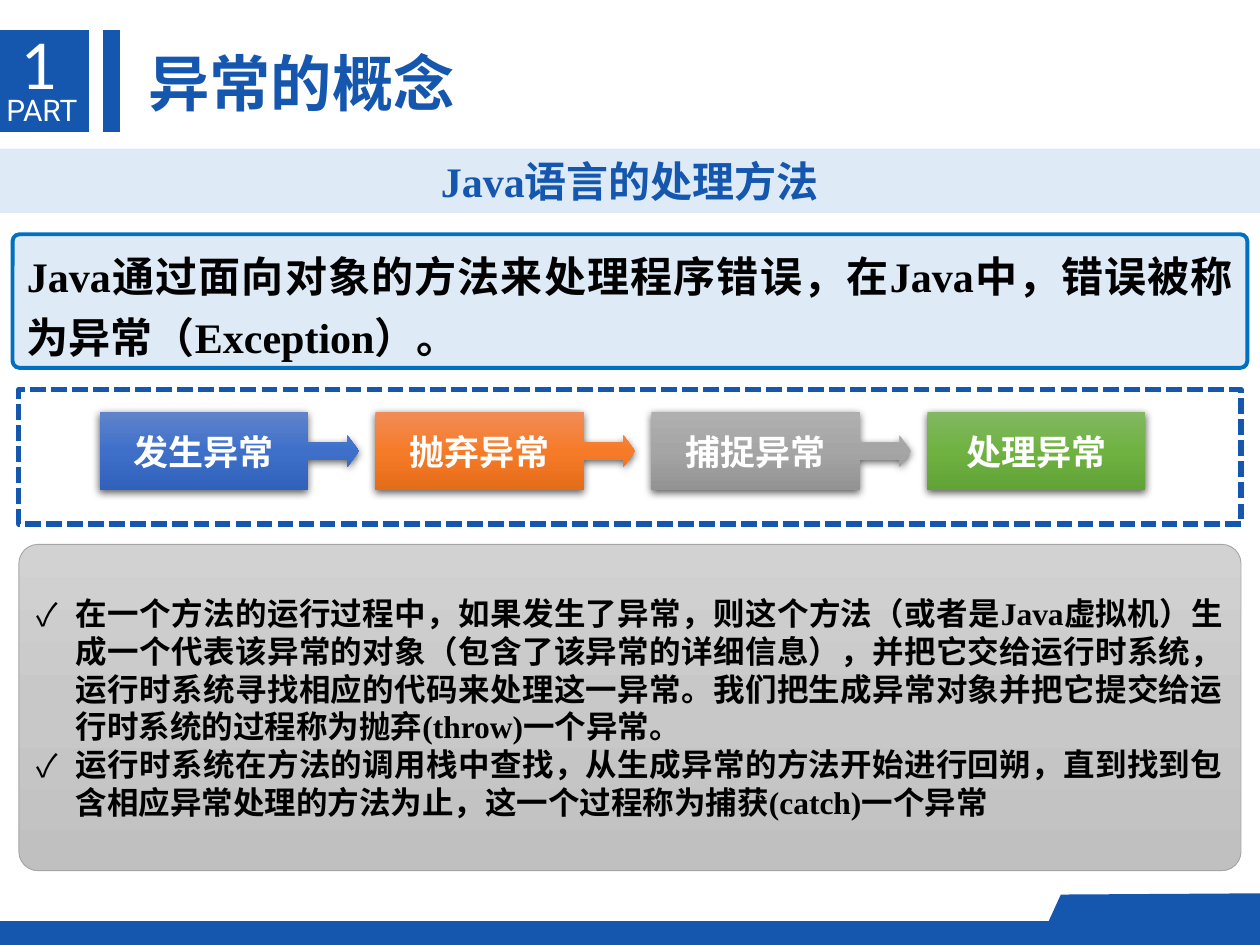
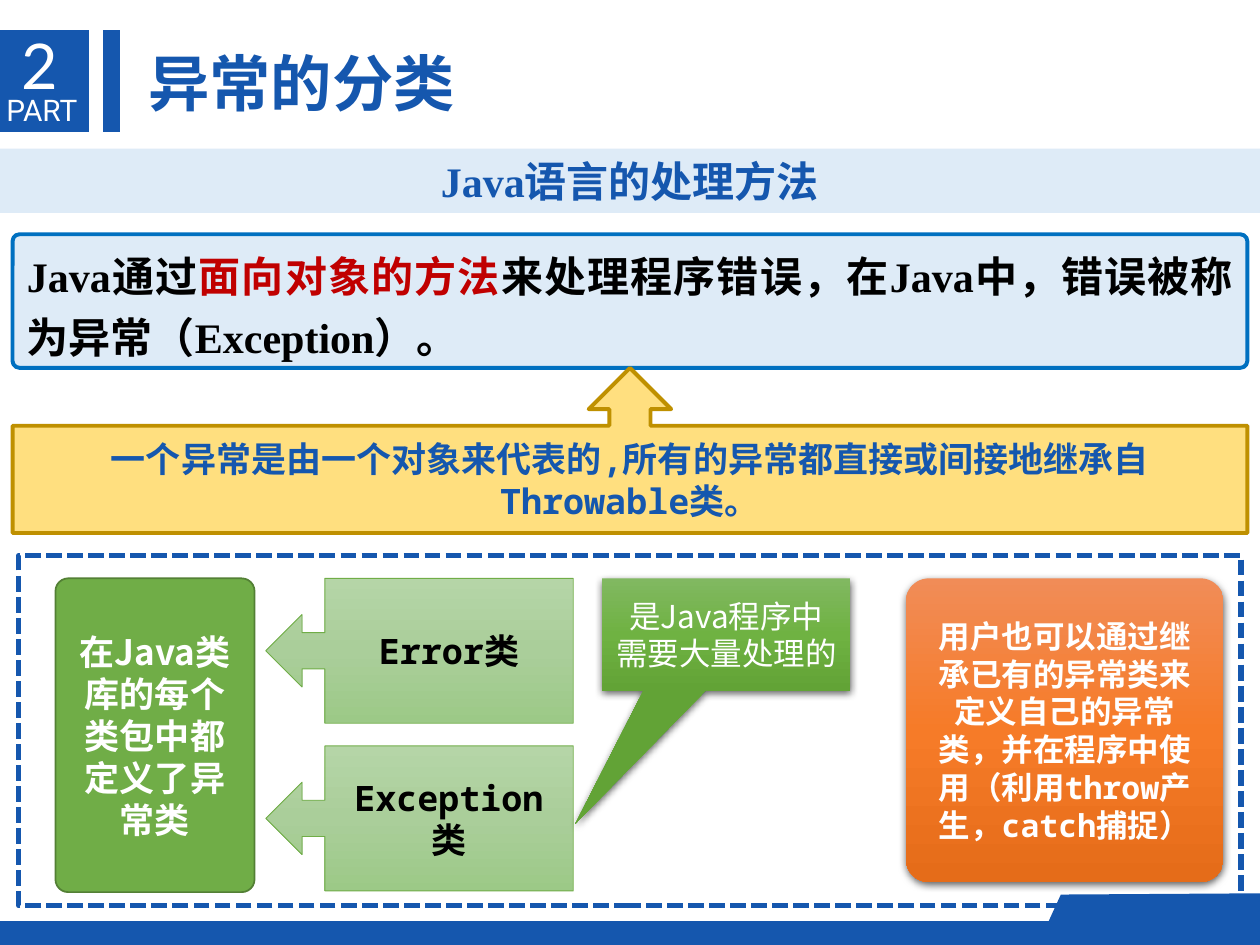
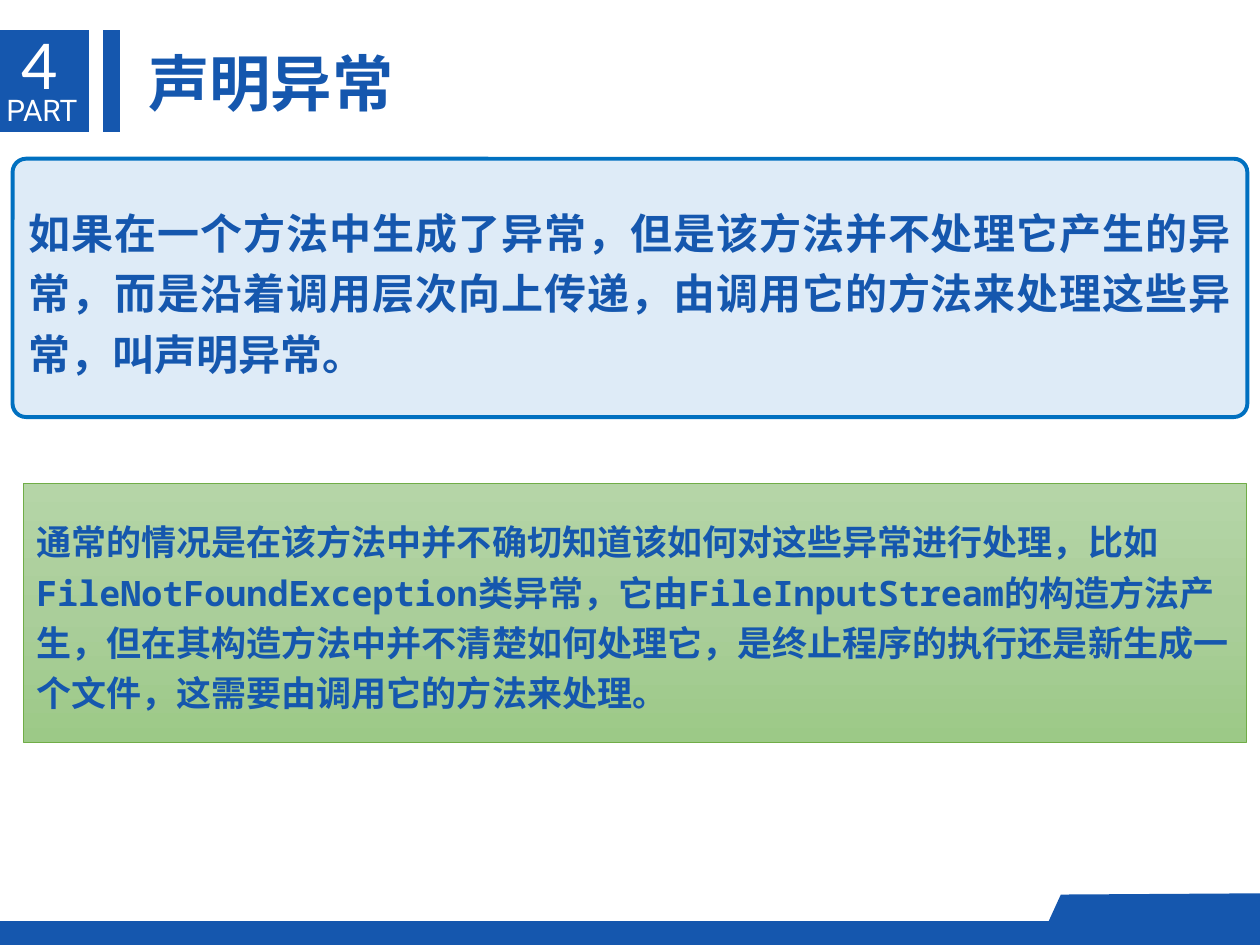
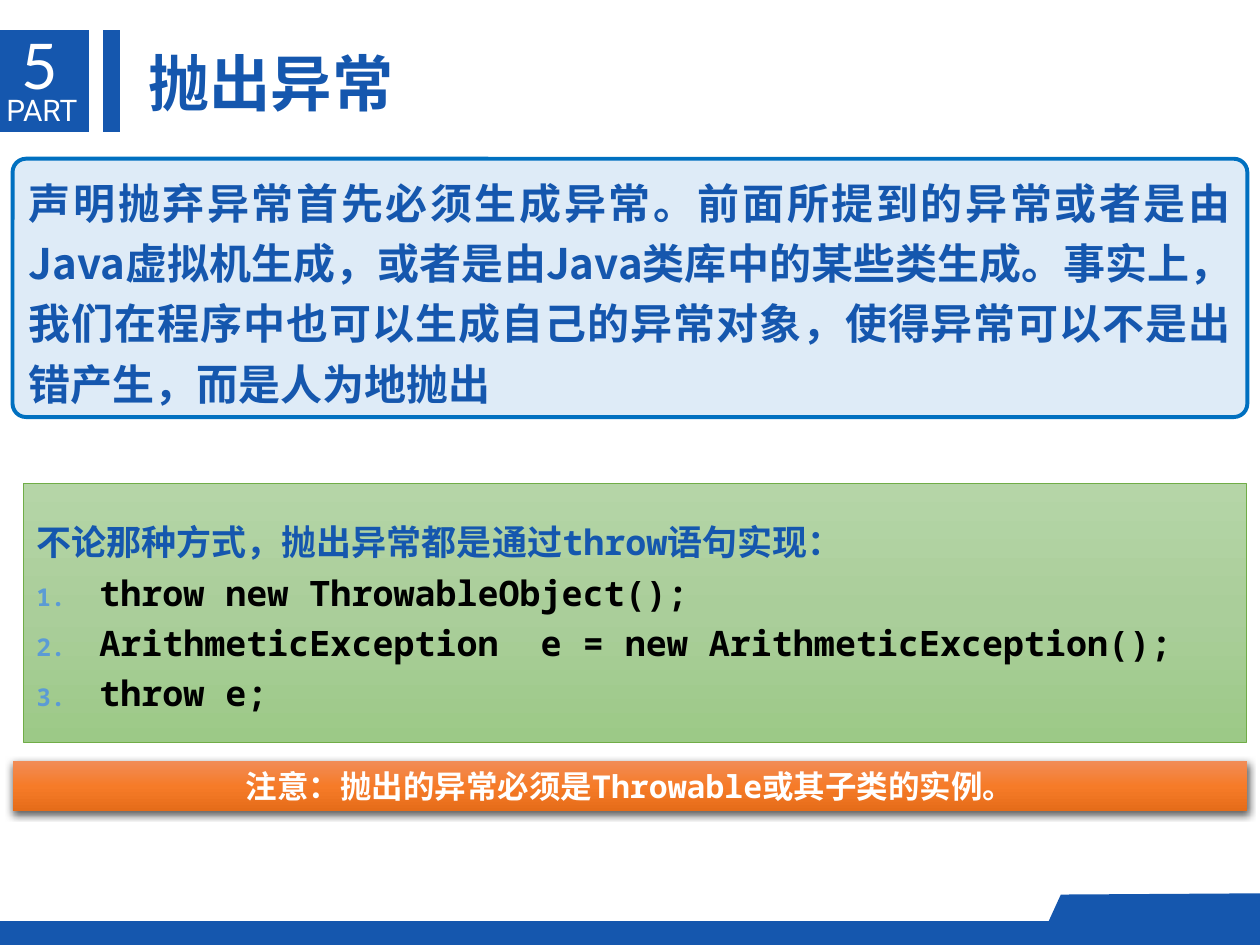
from dataclasses import dataclass
from lxml.etree import SubElement
from pptx import Presentation
from pptx.dml.color import RGBColor
from pptx.enum.dml import MSO_LINE
from pptx.enum.shapes import MSO_SHAPE as Preset
from pptx.enum.text import MSO_ANCHOR as Anchor, MSO_AUTO_SIZE as AutoSize, PP_ALIGN as Align
from pptx.oxml.ns import qn
from pptx.util import Inches, Pt


@dataclass(frozen=True)
class Theme:
    # Colours
    primary: str = "1557AE"
    pale: str = "DEEBF7"
    border: str = "0070C0"
    bullet: str = "5B9BD5"
    red: str = "C00000"
    gold: str = "FFC000"
    gold_line: str = "BF9000"
    green: str = "70AD47"
    green_line: str = "538035"
    gray_line: str = "A5A5A5"
    white: str = "FFFFFF"
    black: str = "000000"
    # Gradients, top to bottom
    blue_fade: tuple = ("6183CB", "3E70CA", "3062BB")
    orange_fade: tuple = ("F18C57", "F67B28", "E56C19")
    gray_fade: tuple = ("AFAFAF", "A5A5A5", "939393")
    green_fade: tuple = ("81B861", "6FB242", "62A336")
    silver_fade: tuple = ("D2D2D2", "C8C8C8", "C0C0C0")
    mint_fade: tuple = ("B5D5A7", "AACE9A", "9CC987")
    # Fonts
    sans: str = "Noto Sans CJK SC"
    mono: str = "Noto Sans Mono"
    serif: str = "Times New Roman"
    label_font: str = "Roboto"
    number_font: str = "Lato"
    # Type sizes
    number: int = 36
    title: int = 35
    lead: int = 24
    body: int = 20
    small: int = 18
    label: int = 17


THEME = Theme()


@dataclass(frozen=True)
class Box:
    left: float
    top: float
    width: float
    height: float

    def inner(self, left, top, width, height):
        """A box whose position is measured from this box's corner."""
        return Box(self.left + left, self.top + top, width, height)

    def lengths(self):
        return [Inches(value) for value in (self.left, self.top, self.width, self.height)]


@dataclass(frozen=True)
class Type:
    font: str
    size: int
    color: str
    bold: bool = True
    align: Align = Align.CENTER
    spacing: float = 1.0


LEAD = Type(THEME.sans, THEME.lead, THEME.primary, align=Align.JUSTIFY, spacing=1.2)
LEAD_SERIF = Type(THEME.serif, THEME.lead, THEME.black, align=Align.JUSTIFY, spacing=1.2)
BANNER = Type(THEME.serif, THEME.lead, THEME.primary)
STEP = Type(THEME.sans, THEME.body, THEME.white)
DETAIL = Type(THEME.serif, THEME.small, THEME.black, align=Align.JUSTIFY)
CODE = Type(THEME.mono, THEME.body, THEME.primary, align=Align.LEFT, spacing=1.2)
CLASS_NAME = Type(THEME.mono, THEME.body, THEME.black)
THROWABLE = Type(THEME.mono, THEME.body, THEME.primary)
NOTE = Type(THEME.mono, THEME.small, THEME.white)
REMARK = Type(THEME.sans, THEME.small, THEME.white, bold=False)


# ---------- Text ----------

def format_run(run, style, color=None):
    font = run.font
    font.name, font.size, font.bold = style.font, Pt(style.size), style.bold
    font.color.rgb = RGBColor.from_string(color or style.color)
    SubElement(run._r.get_or_add_rPr(), qn("a:ea"), typeface=THEME.sans)


def write_paragraph(paragraph, content, style):
    """Content is a string, or a list of (text, colour) pieces."""
    paragraph.alignment = style.align
    paragraph.line_spacing = style.spacing
    # Keep punctuation inside the margins
    paragraph._p.get_or_add_pPr().set("hangingPunct", "0")
    pieces = [(content, None)] if isinstance(content, str) else content
    for text, color in pieces:
        run = paragraph.add_run()
        run.text = text
        format_run(run, style, color)


def write(shape, paragraphs, style):
    frame = shape.text_frame
    for index, content in enumerate(paragraphs):
        paragraph = frame.add_paragraph() if index else frame.paragraphs[0]
        write_paragraph(paragraph, content, style)


def hang(paragraph, indent):
    properties = paragraph._p.get_or_add_pPr()
    properties.set("marL", str(Inches(indent)))
    properties.set("indent", str(-Inches(indent)))
    return properties


def add_check(paragraph):
    properties = hang(paragraph, 0.31)
    SubElement(properties, qn("a:buFont"), typeface=THEME.sans)
    SubElement(properties, qn("a:buChar"), char="✓")


def add_number(paragraph):
    properties = hang(paragraph, 0.5)
    color = SubElement(properties, qn("a:buClr"))
    SubElement(color, qn("a:srgbClr"), val=THEME.bullet)
    SubElement(properties, qn("a:buSzPct"), val="70000")
    SubElement(properties, qn("a:buAutoNum"), type="arabicPeriod")


def add_label(slide, box, text, style, inset=None):
    label = slide.shapes.add_textbox(*box.lengths())
    frame = label.text_frame
    frame.word_wrap = False
    frame.auto_size = AutoSize.SHAPE_TO_FIT_TEXT
    if inset is not None:
        frame.margin_left = frame.margin_right = Inches(inset)
        frame.margin_top = frame.margin_bottom = Inches(inset)
    write(label, [text], style)


# ---------- Shapes ----------

def paint(shape, fill):
    """Fill with nothing, one colour or an even top-to-bottom gradient."""
    if fill is None:
        shape.fill.background()
    elif isinstance(fill, str):
        shape.fill.solid()
        shape.fill.fore_color.rgb = RGBColor.from_string(fill)
    else:
        shape.fill.gradient()
        shape.fill.gradient_angle = 270
        stops = shape.element.spPr.find(".//" + qn("a:gsLst"))
        stops[:] = []
        for index, color in enumerate(fill):
            position = 100000 * index // (len(fill) - 1)
            stop = SubElement(stops, qn("a:gs"), pos=str(position))
            SubElement(stop, qn("a:srgbClr"), val=color)


def outline(shape, color, width):
    if color is None:
        shape.line.fill.background()
    else:
        shape.line.color.rgb = RGBColor.from_string(color)
        shape.line.width = Pt(width)


def cast_shadow(shape):
    effects = shape.element.spPr.find(qn("a:effectLst"))
    shadow = SubElement(effects, qn("a:outerShdw"), blurRad=str(Pt(4.5)), dist=str(Pt(1.5)),
                        dir="5400000", algn="ctr", rotWithShape="0")
    color = SubElement(shadow, qn("a:srgbClr"), val=THEME.black)
    SubElement(color, qn("a:alpha"), val="63000")


def add_panel(slide, box, preset, fill=None, line=None, width=1.0, adjust=(),
              shadow=False, paragraphs=(), style=None):
    shape = slide.shapes.add_shape(preset, *box.lengths())
    for index, value in enumerate(adjust):
        shape.adjustments[index] = value
    paint(shape, fill)
    outline(shape, line, width)
    shape.shadow.inherit = False
    if shadow:
        cast_shadow(shape)
    shape.text_frame.word_wrap = True
    shape.text_frame.vertical_anchor = Anchor.MIDDLE
    write(shape, paragraphs, style)
    return shape


# ---------- Regions shared by the slides ----------

def add_header(slide, box, number, title):
    # Number block and accent bar
    for left, width in ((0, 0.71), (0.82, 0.13)):
        add_panel(slide, box.inner(left, 0, width, box.height),
                  Preset.FLOWCHART_PROCESS, THEME.primary)
    # Labels
    add_label(slide, box.inner(0.05, 0.49, 0.6, 0.29), "PART",
              Type(THEME.label_font, THEME.label, THEME.white, False, Align.LEFT), inset=0)
    add_label(slide, box.inner(0.07, -0.08, 0.53, 0.71), number,
              Type(THEME.number_font, THEME.number, THEME.white, False, Align.LEFT))
    title_width = 0.2 + 0.49 * len(title)
    add_label(slide, box.inner(1.08, 0.07, title_width, 0.69), title,
              Type(THEME.sans, THEME.title, THEME.primary, align=Align.LEFT))


def add_footer(slide, box):
    # Full-width bar
    add_panel(slide, box.inner(0, 0.22, box.width, 0.19), Preset.FLOWCHART_PROCESS, THEME.primary)
    # Raised tab at the right
    right, bottom = box.left + box.width, box.top + 0.36
    corners = [(right, bottom), (right, box.top), (right - 1.58, box.top + 0.01),
               (right - 1.74, bottom)]
    points = [(Inches(x), Inches(y)) for x, y in corners]
    builder = slide.shapes.build_freeform(*points[0])
    builder.add_line_segments(points[1:], close=True)
    tab = builder.convert_to_shape()
    paint(tab, THEME.primary)
    outline(tab, None, 0)
    tab.shadow.inherit = False


def add_banner(slide, box):
    add_panel(slide, box, Preset.ROUNDED_RECTANGLE, THEME.pale, adjust=[0.006],
              paragraphs=["Java语言的处理方法"], style=BANNER)


def add_lead(slide, box, content, style):
    add_panel(slide, box, Preset.ROUNDED_RECTANGLE, THEME.pale, THEME.border, 2.25, [0.052],
              paragraphs=[content], style=style)


def add_dashed_frame(slide, box):
    frame = add_panel(slide, box, Preset.RECTANGLE, line=THEME.primary, width=3)
    frame.line.dash_style = MSO_LINE.SQUARE_DOT


def add_code_panel(slide, box, paragraphs):
    return add_panel(slide, box, Preset.RECTANGLE, THEME.mint_fade, THEME.green, 0.5,
                     paragraphs=paragraphs, style=CODE)


# ---------- Regions of single slides ----------

def add_steps(slide, box):
    steps = [("发生异常", THEME.blue_fade), ("抛弃异常", THEME.orange_fade),
             ("捕捉异常", THEME.gray_fade), ("处理异常", THEME.green_fade)]
    pitch = 2.19
    for index, (text, fade) in enumerate(steps):
        last = index == len(steps) - 1
        preset = Preset.RECTANGLE if last else Preset.RIGHT_ARROW_CALLOUT
        add_panel(slide, box.inner(index * pitch, 0, 1.73 if last else 2.06, box.height),
                  preset, fade, adjust=() if last else (0.224, 0.198, 0.146, 0.803),
                  shadow=True, paragraphs=[text], style=STEP)


def add_details(slide, box, paragraphs):
    panel = add_panel(slide, box, Preset.ROUNDED_RECTANGLE, THEME.silver_fade, THEME.gray_line,
                      0.5, [0.059], paragraphs=paragraphs, style=DETAIL)
    for paragraph in panel.text_frame.paragraphs:
        add_check(paragraph)


def add_throwable(slide, box):
    callout = add_panel(
        slide, box, Preset.UP_ARROW_CALLOUT, THEME.gold, THEME.gold_line, 2.25,
        paragraphs=["一个异常是由一个对象来代表的,所有的异常都直接或间接地继承自Throwable类。"],
        style=THROWABLE)
    color = callout.element.spPr.find(qn("a:solidFill"))[0]
    SubElement(color, qn("a:alpha"), val="50000")


def add_class_map(slide, box):
    # Class library
    add_panel(slide, box.inner(0.29, 0.18, 1.58, 2.49), Preset.ROUNDED_RECTANGLE,
              THEME.green, THEME.green_line, 1, [0.064],
              paragraphs=["在Java类库的每个类包中都定义了异常类"], style=STEP)
    # The two kinds of class
    for index, name in enumerate(("Error类", "Exception类")):
        add_panel(slide, box.inner(1.96, 0.18 + 1.33 * index, 2.44, 1.15),
                  Preset.LEFT_ARROW_CALLOUT, THEME.mint_fade, THEME.green, 0.5,
                  [0.25, 0.25, 0.25, 0.808], paragraphs=[name], style=CLASS_NAME)
    # Remark pointing at Exception
    add_panel(slide, box.inner(4.63, 0.18, 1.97, 0.89), Preset.RECTANGULAR_CALLOUT,
              THEME.green_fade, adjust=[-0.608, 1.687], shadow=True,
              paragraphs=["是Java程序中需要大量处理的"], style=REMARK)
    add_dashed_frame(slide, box)
    # User-defined exceptions
    add_panel(slide, box.inner(7.04, 0.18, 2.52, 2.41), Preset.ROUNDED_RECTANGLE,
              THEME.orange_fade, adjust=[0.075], shadow=True, style=NOTE,
              paragraphs=["用户也可以通过继承已有的异常类来定义自己的异常类，"
                          "并在程序中使用（利用throw产生，catch捕捉）"])


def add_note(slide, box, text):
    note = add_panel(slide, box, Preset.RECTANGLE, THEME.orange_fade, shadow=True,
                     paragraphs=[text], style=NOTE)
    note.text_frame.vertical_anchor = Anchor.TOP
    note.text_frame.auto_size = AutoSize.SHAPE_TO_FIT_TEXT


# ---------- Slides ----------

HEADER_BOX = Box(0, 0.24, 10, 0.81)
FOOTER_BOX = Box(0, 7.09, 10, 0.41)
BANNER_BOX = Box(0, 1.18, 10, 0.51)
SHORT_LEAD_BOX = Box(0.1, 1.86, 9.8, 1.06)
TALL_LEAD_BOX = Box(0.1, 1.26, 9.8, 2.05)
CODE_BOX = Box(0.19, 3.84, 9.7, 2.05)


def start_slide(presentation, number, title):
    slide = presentation.slides.add_slide(presentation.slide_layouts[6])
    add_footer(slide, FOOTER_BOX)
    add_header(slide, HEADER_BOX, number, title)
    return slide


def build_concept(presentation):
    slide = start_slide(presentation, "1", "异常的概念")
    add_banner(slide, BANNER_BOX)
    add_lead(slide, SHORT_LEAD_BOX,
             "Java通过面向对象的方法来处理程序错误，在Java中，错误被称为异常（Exception）。",
             LEAD_SERIF)
    add_steps(slide, Box(0.79, 3.27, 8.3, 0.62))
    add_details(slide, Box(0.15, 4.32, 9.7, 2.59), [
        "在一个方法的运行过程中，如果发生了异常，则这个方法（或者是Java虚拟机）"
        "生成一个代表该异常的对象（包含了该异常的详细信息），并把它交给运行时系统，"
        "运行时系统寻找相应的代码来处理这一异常。我们把生成异常对象并把它提交给"
        "运行时系统的过程称为抛弃(throw)一个异常。",
        "运行时系统在方法的调用栈中查找，从生成异常的方法开始进行回朔，"
        "直到找到包含相应异常处理的方法为止，这一个过程称为捕获(catch)一个异常",
    ])
    add_dashed_frame(slide, Box(0.15, 3.09, 9.7, 1.07))


def build_classification(presentation):
    slide = start_slide(presentation, "2", "异常的分类")
    add_banner(slide, BANNER_BOX)
    add_lead(slide, SHORT_LEAD_BOX, [
        ("Java通过", None),
        ("面向对象的方法", THEME.red),
        ("来处理程序错误，在Java中，错误被称为异常（Exception）。", None),
    ], LEAD_SERIF)
    add_throwable(slide, Box(0.1, 2.92, 9.8, 1.31))
    add_class_map(slide, Box(0.15, 4.41, 9.7, 2.78))


def build_declaration(presentation):
    slide = start_slide(presentation, "4", "声明异常")
    add_lead(slide, TALL_LEAD_BOX,
             "如果在一个方法中生成了异常，但是该方法并不处理它产生的异常，"
             "而是沿着调用层次向上传递，由调用它的方法来处理这些异常，叫声明异常。", LEAD)
    add_code_panel(slide, CODE_BOX, [
        "通常的情况是在该方法中并不确切知道该如何对这些异常进行处理，"
        "比如FileNotFoundException类异常，它由FileInputStream的构造方法产生，"
        "但在其构造方法中并不清楚如何处理它，是终止程序的执行还是新生成一个文件，"
        "这需要由调用它的方法来处理。"])


def build_throwing(presentation):
    slide = start_slide(presentation, "5", "抛出异常")
    add_lead(slide, TALL_LEAD_BOX,
             "声明抛弃异常首先必须生成异常。前面所提到的异常或者是由Java虚拟机生成，"
             "或者是由Java类库中的某些类生成。事实上，我们在程序中也可以生成自己的异常对象，"
             "使得异常可以不是出错产生，而是人为地抛出", LEAD)
    statements = ["throw new ThrowableObject();",
                  "ArithmeticException  e = new ArithmeticException();",
                  "throw e;"]
    panel = add_code_panel(slide, CODE_BOX, [
        "不论那种方式，抛出异常都是通过throw语句实现：",
        *[[(statement, THEME.black)] for statement in statements]])
    for paragraph in panel.text_frame.paragraphs[1:]:
        add_number(paragraph)
    add_note(slide, Box(0.1, 6.04, 9.8, 0.4), "注意：抛出的异常必须是Throwable或其子类的实例。")


def main():
    presentation = Presentation()
    presentation.slide_width, presentation.slide_height = Inches(10), Inches(7.5)
    for build in (build_concept, build_classification, build_declaration, build_throwing):
        build(presentation)
    presentation.save("out.pptx")


if __name__ == "__main__":
    main()
